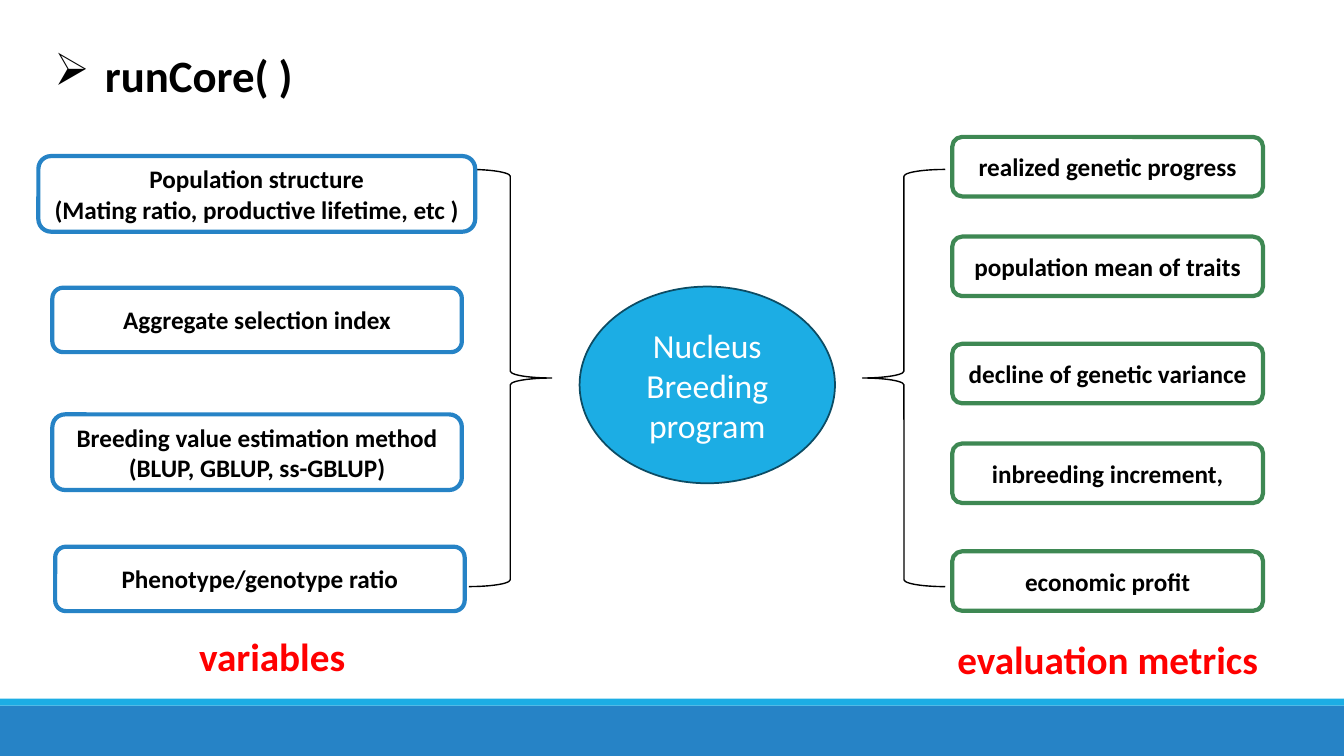
from lxml.etree import SubElement
from pptx import Presentation
from pptx.dml.color import RGBColor
from pptx.enum.shapes import MSO_SHAPE
from pptx.enum.text import MSO_ANCHOR, PP_ALIGN
from pptx.oxml.ns import qn
from pptx.util import Pt

FONT = "Calibri"
BLACK = RGBColor(0x00, 0x00, 0x00)
WHITE = RGBColor(0xFF, 0xFF, 0xFF)
RED = RGBColor(0xFF, 0x00, 0x00)
BLUE = RGBColor(0x26, 0x83, 0xC6)
CYAN = RGBColor(0x1C, 0xAD, 0xE4)
NAVY = RGBColor(0x0C, 0x4C, 0x64)
GREEN = RGBColor(0x3E, 0x88, 0x53)

# left, top, width, height in points
VARIABLES = [
    ("Population structure\n(Mating ratio, productive lifetime, etc )", (27.4, 111.5, 312, 54)),
    ("Aggregate selection index", (37.4, 205.5, 292.5, 46)),
    ("Breeding value estimation method\n(BLUP, GBLUP, ss-GBLUP)", (37.4, 296, 292.5, 54)),
    ("Phenotype/genotype ratio", (39.4, 390.5, 292.5, 46)),
]
METRICS = [
    ("realized genetic progress", 97.8),
    ("population mean of traits", 169),
    ("decline of genetic variance", 245.6),
    ("inbreeding increment,", 316.8),
    ("economic profit", 393.8),
]


def write(shape, text, size, color, bold=True, align=PP_ALIGN.CENTER):
    frame = shape.text_frame
    frame.word_wrap = True
    frame.vertical_anchor = MSO_ANCHOR.MIDDLE
    frame.text = text
    for paragraph in frame.paragraphs:
        paragraph.alignment = align
        for run in paragraph.runs:
            run.font.name = FONT
            run.font.size = Pt(size)
            run.font.bold = bold
            run.font.color.rgb = color


def add_shape(slide, kind, box, fill=None, line=None, line_width=1):
    shape = slide.shapes.add_shape(kind, *map(Pt, box))
    shape.shadow.inherit = False
    if fill is None:
        shape.fill.background()
    else:
        shape.fill.solid()
        shape.fill.fore_color.rgb = fill
    if line is None:
        shape.line.fill.background()
    else:
        shape.line.color.rgb = line
        shape.line.width = Pt(line_width)
    return shape


def add_box(slide, text, box, line):
    shape = add_shape(slide, MSO_SHAPE.ROUNDED_RECTANGLE, box, WHITE, line, 3)
    write(shape, text, 18, BLACK)


def add_caption(slide, text, left, top):
    caption = slide.shapes.add_textbox(Pt(left), Pt(top), Pt(230.4), Pt(41))
    write(caption, text, 28, RED)


def set_title(slide, text):
    """Place the title as a single arrow-bulleted line."""
    title = slide.shapes.title
    title.left, title.top, title.width, title.height = map(Pt, (31.7, 30.2, 480, 46))
    write(title, text, 32, BLACK, align=PP_ALIGN.LEFT)
    properties = title.text_frame.paragraphs[0]._p.get_or_add_pPr()
    properties.set("marL", str(Pt(36)))
    properties.set("indent", str(-Pt(36)))
    SubElement(properties, qn("a:buChar")).set("char", "➢")


def main():
    presentation = Presentation()
    presentation.slide_width = Pt(960)
    presentation.slide_height = Pt(540)
    slide = presentation.slides.add_slide(presentation.slide_layouts[5])

    add_shape(slide, MSO_SHAPE.RECTANGLE, (0, 504, 960, 36), BLUE)
    add_shape(slide, MSO_SHAPE.RECTANGLE, (0, 499, 960, 5), CYAN)
    set_title(slide, "runCore( )")

    program = add_shape(slide, MSO_SHAPE.OVAL, (414, 204.7, 182.4, 140.5), CYAN, NAVY, 1.25)
    write(program, "Nucleus\nBreeding program", 24, WHITE, bold=False)

    for kind, left in ((MSO_SHAPE.LEFT_BRACE, 616.2), (MSO_SHAPE.RIGHT_BRACE, 335)):
        add_shape(slide, kind, (left, 121, 59, 298), line=BLACK)
    for text, box in VARIABLES:
        add_box(slide, text, box, BLUE)
    for text, top in METRICS:
        add_box(slide, text, (680.2, top, 222, 42.5), GREEN)

    add_caption(slide, "evaluation metrics", 676, 450)
    add_caption(slide, "variables", 79.2, 448)
    presentation.save("out.pptx")


if __name__ == "__main__":
    main()
